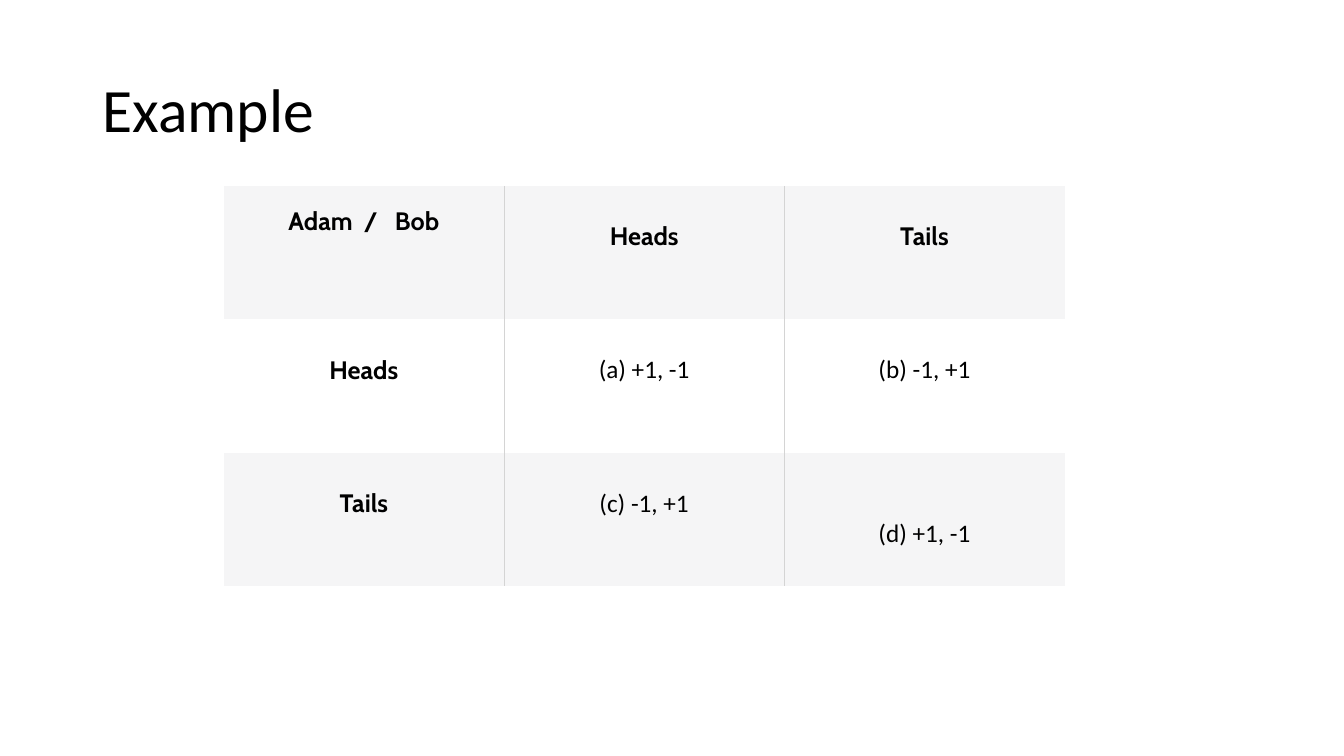
from lxml import etree
from pptx import Presentation
from pptx.dml.color import RGBColor
from pptx.enum.text import MSO_ANCHOR, PP_ALIGN
from pptx.oxml.ns import qn
from pptx.util import Emu, Pt

EMU_PER_PX = 9525
TITLE_ONLY = 5
LEFT, CENTER = PP_ALIGN.LEFT, PP_ALIGN.CENTER
TOP, MIDDLE = MSO_ANCHOR.TOP, MSO_ANCHOR.MIDDLE

BLACK = RGBColor(0x00, 0x00, 0x00)
WHITE = RGBColor(0xFF, 0xFF, 0xFF)
BAND = RGBColor(0xF5, 0xF5, 0xF6)
RULE = RGBColor(0xD4, 0xD4, 0xD4)

HEADING_FONT, BODY_FONT = "Cabin", "Calibri"
COLUMN_WIDTH, ROW_HEIGHT = 267, 127
TEXT_TOP = 34
SPECIAL_TEXT_TOP = {(0, 0): 19, (2, 2): 63}

PAYOFFS = [
    ["Adam  /   Bob", "Heads", "Tails"],
    ["Heads", "(a) +1, -1", "(b) -1, +1"],
    ["Tails", "(c) -1, +1", "(d) +1, -1"],
]


def px(length):
    return Emu(length * EMU_PER_PX)


def format_text(frame, font_name, size, align, bold=False):
    for para in frame.paragraphs:
        para.alignment = align
        for span in para.runs:
            span.font.name = font_name
            span.font.size = Pt(size)
            span.font.bold = bold
            span.font.color.rgb = BLACK


def set_borders(cell, ruled_sides):
    """Rule the given sides (letters of LRTB) and clear the others."""
    properties = cell._tc.get_or_add_tcPr()
    for position, side in enumerate("LRTB"):
        line = etree.Element(qn(f"a:ln{side}"), w=str(Pt(0.6)))
        if side in ruled_sides:
            fill = etree.SubElement(line, qn("a:solidFill"))
            etree.SubElement(fill, qn("a:srgbClr"), val=str(RULE))
        else:
            etree.SubElement(line, qn("a:noFill"))
        properties.insert(position, line)


def add_title(page, text):
    title = page.shapes.title
    title.left, title.top = px(88), px(38)
    title.width, title.height = px(1104), px(139)
    frame = title.text_frame
    frame.text = text
    frame.vertical_anchor = MIDDLE
    frame.paragraphs[0].line_spacing = 0.9
    format_text(frame, BODY_FONT, 44, LEFT)


def fill_cell(cell, text, row, column, last_column):
    is_heading = row == 0 or column == 0
    cell.text = text
    cell.vertical_anchor = TOP
    cell.margin_top = px(SPECIAL_TEXT_TOP.get((row, column), TEXT_TOP))
    cell.margin_bottom = 0
    cell.fill.solid()
    cell.fill.fore_color.rgb = WHITE if row % 2 else BAND
    font_name = HEADING_FONT if is_heading else BODY_FONT
    format_text(cell.text_frame, font_name, 18, CENTER, bold=is_heading)
    left_rule = "L" if column > 0 else ""
    right_rule = "R" if column < last_column else ""
    set_borders(cell, left_rule + right_rule)


def add_payoff_table(page, rows, left, top):
    row_count, column_count = len(rows), len(rows[0])
    table = page.shapes.add_table(
        row_count, column_count, px(left), px(top),
        px(column_count * COLUMN_WIDTH), px(row_count * ROW_HEIGHT),
    ).table
    table.first_row = False
    table.horz_banding = False
    for column in table.columns:
        column.width = px(COLUMN_WIDTH)
    for row_index, texts in enumerate(rows):
        table.rows[row_index].height = px(ROW_HEIGHT)
        for column_index, text in enumerate(texts):
            cell = table.cell(row_index, column_index)
            fill_cell(cell, text, row_index, column_index, column_count - 1)


def main():
    deck = Presentation()
    deck.slide_width, deck.slide_height = px(1280), px(720)
    page = deck.slides.add_slide(deck.slide_layouts[TITLE_ONLY])
    add_title(page, "Example")
    add_payoff_table(page, PAYOFFS, left=213, top=177)
    deck.save("out.pptx")


if __name__ == "__main__":
    main()
